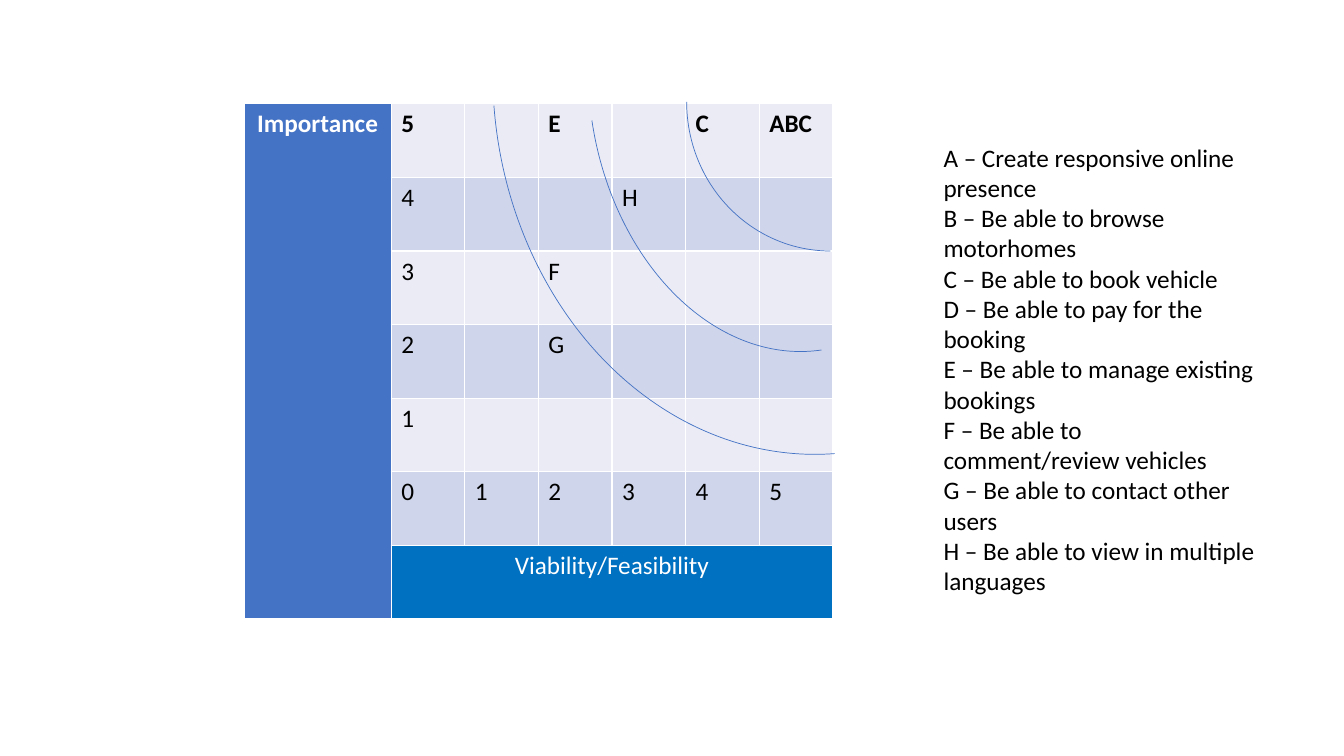
from pptx import Presentation
from pptx.dml.color import RGBColor
from pptx.enum.shapes import MSO_SHAPE
from pptx.enum.text import MSO_AUTO_SIZE, PP_ALIGN
from pptx.util import Pt

ARC = MSO_SHAPE.ARC
CENTER = PP_ALIGN.CENTER
LEFT = PP_ALIGN.LEFT
GROW = MSO_AUTO_SIZE.SHAPE_TO_FIT_TEXT

BLACK = RGBColor(0x00, 0x00, 0x00)
WHITE = RGBColor(0xFF, 0xFF, 0xFF)
BLUE = RGBColor(0x44, 0x72, 0xC4)
AZURE = RGBColor(0x00, 0x70, 0xC0)
PALE = RGBColor(0xEA, 0xEB, 0xF5)
MIST = RGBColor(0xCF, 0xD5, 0xEA)

PX = 9144
FONT = "Calibri"

GRID = [
    ["5", "", "E", "", "C", "ABC"],
    ["4", "", "", "H", "", ""],
    ["3", "", "F", "", "", ""],
    ["2", "", "G", "", "", ""],
    ["1", "", "", "", "", ""],
    ["0", "1", "2", "3", "4", "5"],
]
GOALS = [
    "A – Create responsive online presence",
    "B – Be able to browse motorhomes",
    "C – Be able to book vehicle",
    "D – Be able to pay for the booking",
    "E – Be able to manage existing bookings",
    "F – Be able to comment/review vehicles",
    "G – Be able to contact other users",
    "H – Be able to view in multiple languages",
]
ARCS = [
    ((681, -47, 285, 296), 180),
    ((489, -288, 622, 739), 175.7),
    ((585, -167, 384, 517), 171.6),
]
TABLE = (242, 103, 584, 511)
LEGEND = (926, 136, 333, 464)
SIDE, STEP = 146, 73


def scale(box):
    return [v * PX for v in box]


def style(para, color, bold=False, align=LEFT):
    para.alignment = align
    font = para.font
    font.name, font.size, font.bold = FONT, Pt(18), bold
    font.color.rgb = color


def put(cell, text, fill, color=BLACK, bold=False, align=LEFT):
    cell.text = text
    cell.fill.solid()
    cell.fill.fore_color.rgb = fill
    style(cell.text_frame.paragraphs[0], color, bold, align)


def add_matrix(slide):
    rows, cols = len(GRID) + 1, len(GRID[0]) + 1
    table = slide.shapes.add_table(rows, cols, *scale(TABLE)).table
    for row in table.rows:
        row.height = STEP * PX
    for i, col in enumerate(table.columns):
        col.width = (STEP if i else SIDE) * PX
    table.cell(0, 0).merge(table.cell(rows - 1, 0))
    table.cell(rows - 1, 1).merge(table.cell(rows - 1, cols - 1))
    put(table.cell(0, 0), "Importance", BLUE, WHITE, True, CENTER)
    for r, line in enumerate(GRID):
        for c, text in enumerate(line, 1):
            put(table.cell(r, c), text, MIST if r % 2 else PALE, bold=r == 0)
    put(table.cell(rows - 1, 1), "Viability/Feasibility", AZURE, WHITE,
        align=CENTER)


def add_legend(slide):
    frame = slide.shapes.add_textbox(*scale(LEGEND)).text_frame
    frame.word_wrap = True
    frame.auto_size = GROW
    frame.text = "\n".join(GOALS)
    for para in frame.paragraphs:
        style(para, BLACK)


def add_arcs(slide):
    for box, turn in ARCS:
        arc = slide.shapes.add_shape(ARC, *scale(box))
        arc.rotation = turn
        arc.shadow.inherit = False
        arc.fill.background()
        arc.line.color.rgb = BLUE
        arc.line.width = Pt(0.5)


def main():
    deck = Presentation()
    deck.slide_width, deck.slide_height = scale((1333, 750))
    slide = deck.slides.add_slide(deck.slide_layouts[6])
    add_matrix(slide)
    add_legend(slide)
    add_arcs(slide)
    deck.save("out.pptx")


if __name__ == "__main__":
    main()
